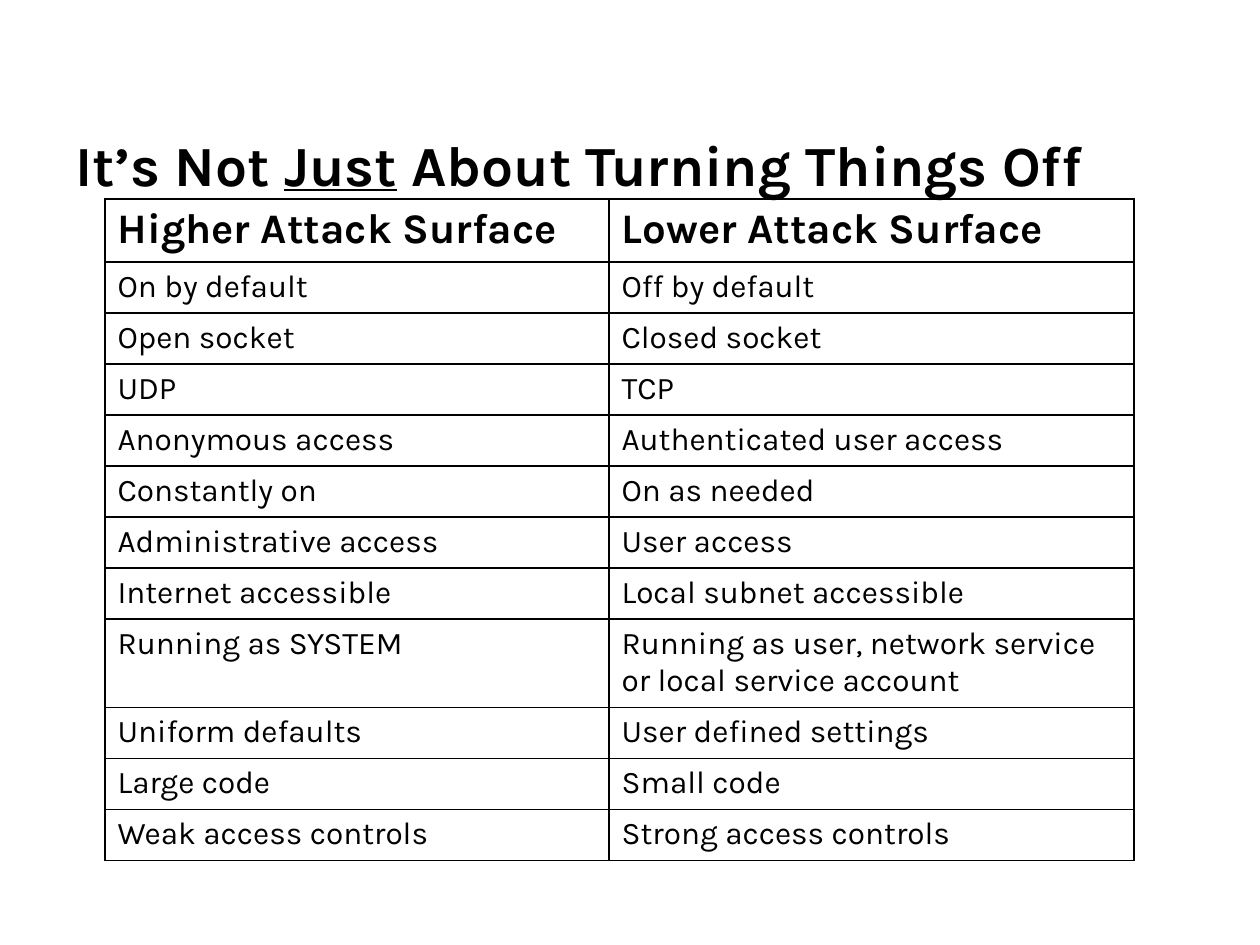
from lxml import etree
from pptx import Presentation
from pptx.dml.color import RGBColor
from pptx.enum.text import MSO_ANCHOR
from pptx.oxml.ns import qn
from pptx.util import Pt

# Content
TITLE = [("It’s Not ", False), ("Just", True), (" About Turning Things Off", False)]
ROWS = [
    ("Higher Attack Surface", "Lower Attack Surface"),
    ("On by default", "Off by default"),
    ("Open socket", "Closed socket"),
    ("UDP", "TCP"),
    ("Anonymous access", "Authenticated user access"),
    ("Constantly on", "On as needed"),
    ("Administrative access", "User access"),
    ("Internet accessible", "Local subnet accessible"),
    ("Running as SYSTEM",
     "Running as user, network service or local service account"),
    ("Uniform defaults", "User defined settings"),
    ("Large code", "Small code"),
    ("Weak access controls", "Strong access controls"),
]

# Style and layout, lengths in px at 126 to the inch
FONT = "Karla"
COLORS = {"ink": "000000", "border": "000000"}
TITLE_BOX = (63, 116, 1134, 95)
TABLE_LEFT, TABLE_TOP = 105, 199
COL_WIDTHS = (504, 525)
ROW_HEIGHT = 51
TALL_ROWS = {0: 62, 8: 87}
EDGES = ("a:lnL", "a:lnR", "a:lnT", "a:lnB")


def px(n):
    return round(n * 914400 / 126)


def add_run(p, text, size, bold=False, underline=False):
    r = p.add_run()
    r.text = text
    r.font.name = FONT
    r.font.size = Pt(size)
    r.font.bold = bold
    r.font.underline = underline
    r.font.color.rgb = RGBColor.from_string(COLORS["ink"])


def add_borders(cell):
    tcPr = cell._tc.get_or_add_tcPr()
    for i, edge in enumerate(EDGES):
        ln = etree.Element(qn(edge), w=str(Pt(1)))
        fill = etree.SubElement(ln, qn("a:solidFill"))
        etree.SubElement(fill, qn("a:srgbClr"), val=COLORS["border"])
        tcPr.insert(i, ln)


prs = Presentation()
prs.slide_width, prs.slide_height = px(1260), px(945)
s = prs.slides.add_slide(prs.slide_layouts[6])

# Title
tf = s.shapes.add_textbox(*map(px, TITLE_BOX)).text_frame
tf.word_wrap = True
tf.vertical_anchor = MSO_ANCHOR.MIDDLE
for text, underline in TITLE:
    add_run(tf.paragraphs[0], text, 32.4, bold=True, underline=underline)

# Comparison table
heights = [TALL_ROWS.get(i, ROW_HEIGHT) for i in range(len(ROWS))]
table = s.shapes.add_table(
    len(ROWS), len(COL_WIDTHS), px(TABLE_LEFT), px(TABLE_TOP),
    px(sum(COL_WIDTHS)), px(sum(heights))).table
table.first_row = table.horz_banding = False
for col, width in zip(table.columns, COL_WIDTHS):
    col.width = px(width)
for i, (row, height, texts) in enumerate(zip(table.rows, heights, ROWS)):
    row.height = px(height)
    header = i == 0
    for cell, text in zip(row.cells, texts):
        add_run(cell.text_frame.paragraphs[0], text, 24 if header else 18, bold=header)
        cell.fill.background()
        add_borders(cell)

prs.save("out.pptx")
